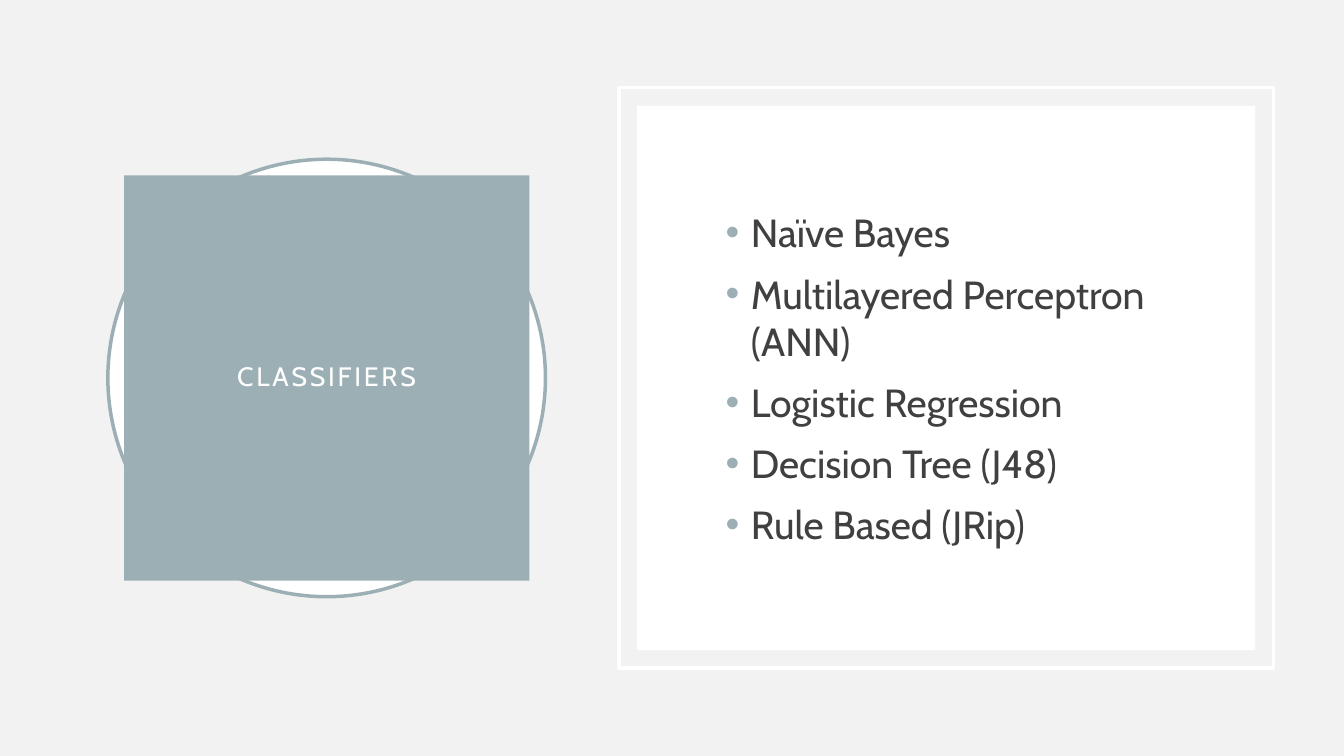
from lxml import etree
from pptx import Presentation
from pptx.dml.color import RGBColor
from pptx.enum import shapes, text
from pptx.oxml import ns
from pptx.util import Inches, Pt

FONT = "Cabin"
BACKGROUND = RGBColor(0xF2, 0xF2, 0xF2)
ACCENT = RGBColor(0x9B, 0xAF, 0xB5)
WHITE = RGBColor(0xFF, 0xFF, 0xFF)
BODY = RGBColor(0x40, 0x40, 0x40)
CLASSIFIERS = [
    "Naïve Bayes",
    "Multilayered Perceptron (ANN)",
    "Logistic Regression",
    "Decision Tree (J48)",
    "Rule Based (JRip)",
]


def add_panel(slide, kind, box, fill=None, line=None):
    """Add a flat shape in the box, with optional fill and outline colours."""
    panel = slide.shapes.add_shape(kind, *box)
    panel.shadow.inherit = False
    if fill is None:
        panel.fill.background()
    else:
        panel.fill.solid()
        panel.fill.fore_color.rgb = fill
    if line is None:
        panel.line.fill.background()
    else:
        panel.line.color.rgb = line
        panel.line.width = Pt(2.5)


def inset(box, gap):
    """Return the box shrunk by the gap on every side."""
    left, top, width, height = box
    return left + gap, top + gap, width - 2 * gap, height - 2 * gap


def place(shape, box):
    """Move and size a shape to fill the box."""
    shape.left, shape.top, shape.width, shape.height = box


def style(paragraph, size, color):
    """Set the font of a paragraph."""
    paragraph.font.name = FONT
    paragraph.font.size = Pt(size)
    paragraph.font.color.rgb = color


def add_bullet(paragraph):
    """Give a paragraph a hanging accent-coloured bullet."""
    props = paragraph._p.get_or_add_pPr()
    props.set("marL", str(Inches(0.5)))
    props.set("indent", str(-Inches(0.25)))
    bullet_color = etree.SubElement(props, ns.qn("a:buClr"))
    etree.SubElement(bullet_color, ns.qn("a:srgbClr"), val=str(ACCENT))
    etree.SubElement(props, ns.qn("a:buFont"), typeface="Arial")
    etree.SubElement(props, ns.qn("a:buChar"), char="•")


def build_heading(slide, box):
    """Draw the ringed circle and the title block over it."""
    add_panel(slide, shapes.MSO_SHAPE.OVAL, box, WHITE, ACCENT)
    title = slide.shapes.title
    slide.shapes._spTree.append(title._element)
    place(title, inset(box, Inches(0.16)))
    title.fill.solid()
    title.fill.fore_color.rgb = ACCENT
    frame = title.text_frame
    frame.text = "CLASSIFIERS"
    frame.word_wrap = True
    frame.auto_size = text.MSO_AUTO_SIZE.NONE
    frame.vertical_anchor = text.MSO_ANCHOR.MIDDLE
    frame.margin_left = frame.margin_right = Inches(0.2)
    frame.margin_top = frame.margin_bottom = Inches(0.2)
    heading = frame.paragraphs[0]
    heading.alignment = text.PP_ALIGN.CENTER
    heading.line_spacing = 0.9
    style(heading, 19, WHITE)
    heading.runs[0].font._element.set("spc", "200")


def build_list(slide, box):
    """Draw the framed card and the list of classifiers in it."""
    add_panel(slide, shapes.MSO_SHAPE.RECTANGLE, box, line=WHITE)
    card = inset(box, Inches(0.18))
    add_panel(slide, shapes.MSO_SHAPE.RECTANGLE, card, fill=WHITE)
    left, top, width, height = card
    margin_x, margin_y = Inches(0.53), Inches(0.53)
    names = slide.shapes.add_textbox(
        left + margin_x, top + margin_y,
        width - 2 * margin_x, height - 2 * margin_y,
    )
    frame = names.text_frame
    frame.word_wrap = True
    frame.vertical_anchor = text.MSO_ANCHOR.MIDDLE
    frame.text = "\n".join(CLASSIFIERS)
    for classifier in frame.paragraphs:
        classifier.space_before = Pt(10)
        style(classifier, 28, BODY)
        add_bullet(classifier)


def main():
    """Build and save the slide."""
    deck = Presentation()
    deck.slide_width, deck.slide_height = Inches(13.33), Inches(7.5)
    slide = deck.slides.add_slide(deck.slide_layouts[5])
    slide.background.fill.solid()
    slide.background.fill.fore_color.rgb = BACKGROUND
    build_heading(slide, (Inches(1.07), Inches(1.58), Inches(4.34), Inches(4.34)))
    build_list(slide, (Inches(6.14), Inches(0.87), Inches(6.49), Inches(5.76)))
    deck.save("out.pptx")


if __name__ == "__main__":
    main()
